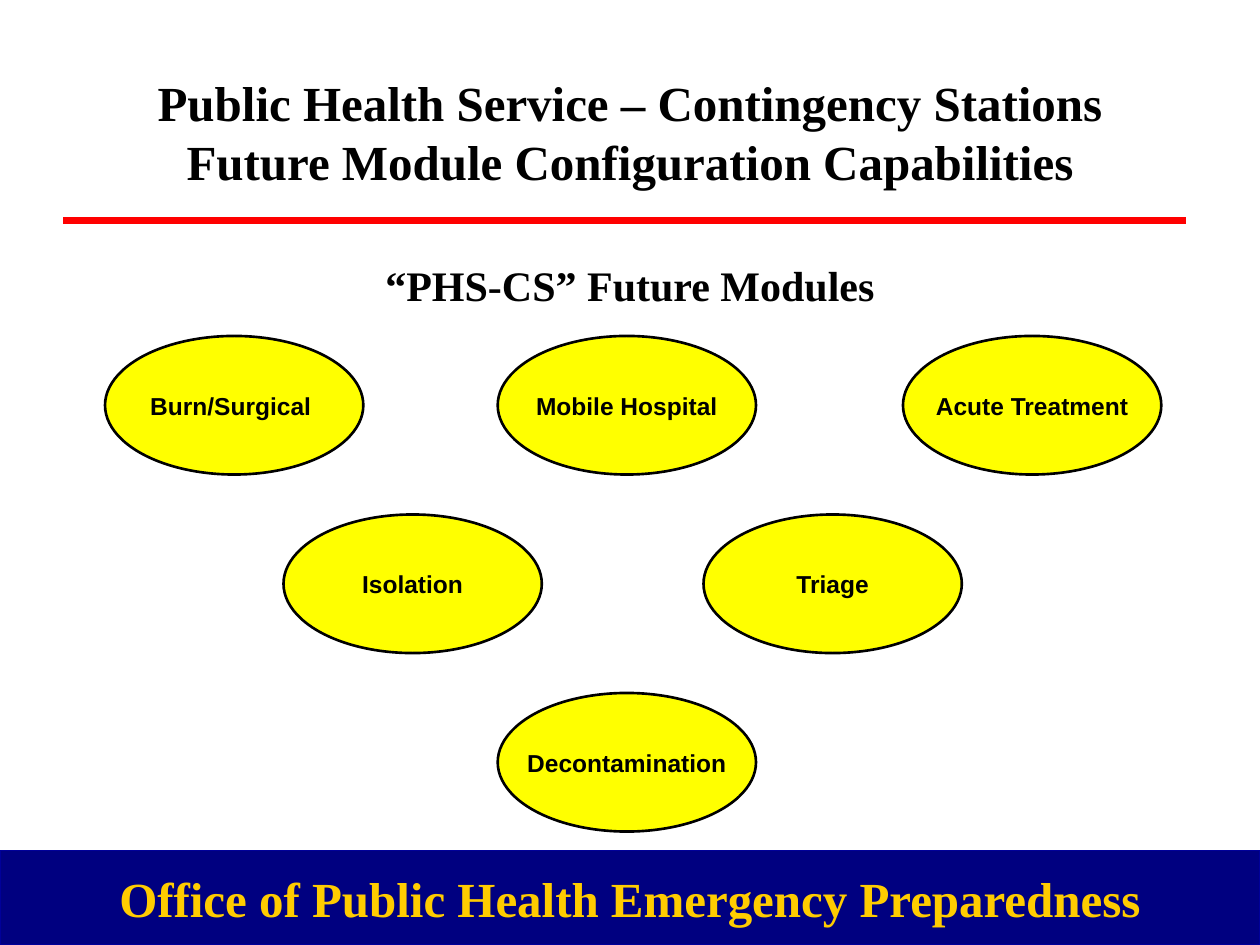
from lxml import etree
from pptx import Presentation
from pptx.dml import color
from pptx.enum import shapes, text
from pptx.oxml import ns
from pptx.util import Pt

SERIF, SANS = "Times New Roman", "Arial"
BLACK, RED, YELLOW, GOLD, NAVY, BLUE = (
    "000000", "FF0000", "FFFF00", "FFCC00", "000080", "000099")

OVAL_WIDTH, OVAL_HEIGHT, ROW_STEP = 147.6, 79.2, 102
# Each row lists (offset from the left of the region, label).
MODULE_ROWS = [
    [(0, "Burn/Surgical "), (224.4, "Mobile Hospital"), (456, "Acute Treatment")],
    [(102, "Isolation"), (342, "Triage")],
    [(224.4, "Decontamination")],
]


def rgb(value):
    return color.RGBColor.from_string(value)


def points(box):
    return [Pt(length) for length in box]


def write(shape, lines, size, name, ink, anchor=text.MSO_ANCHOR.MIDDLE, wrap=True):
    """Fill the shape with one centred bold paragraph, its lines split by breaks."""
    frame = shape.text_frame
    frame.word_wrap = wrap
    frame.vertical_anchor = anchor
    para = frame.paragraphs[0]
    para.alignment = text.PP_ALIGN.CENTER
    for number, line in enumerate(lines):
        if number:
            para.add_line_break()
        span = para.add_run()
        span.text = line
        for key, value in {"size": Pt(size), "name": name, "bold": True}.items():
            setattr(span.font, key, value)
        span.font.color.rgb = rgb(ink)


def add_panel(page, kind, box, fill, outline, weight):
    shape = page.shapes.add_shape(kind, *points(box))
    shape.shadow.inherit = False
    shape.fill.solid()
    shape.fill.fore_color.rgb = rgb(fill)
    shape.line.color.rgb = rgb(outline)
    shape.line.width = Pt(weight)
    return shape


def add_footer(page, box):
    banner = add_panel(page, shapes.MSO_SHAPE.RECTANGLE, box, NAVY, BLUE, 0.75)
    write(banner, ["Office of Public Health Emergency Preparedness"],
          28, SERIF, GOLD, wrap=False)


def add_heading(page, box):
    """Place the title in the box and a red rule just below it."""
    left, top, width, height = box
    title = page.shapes.add_textbox(*points(box))
    write(title, ["Public Health Service – Contingency Stations",
                  "Future Module Configuration Capabilities"], 28, SERIF, BLACK)
    rule_top = top + height + 6
    rule = page.shapes.add_connector(
        shapes.MSO_CONNECTOR.STRAIGHT,
        *points((left - 18, rule_top, left + width + 12, rule_top)))
    rule.line.color.rgb = rgb(RED)
    rule.line.width = Pt(4.5)
    etree.SubElement(rule._element.spPr, ns.qn("a:effectLst"))


def add_subtitle(page, box):
    subtitle = page.shapes.add_textbox(*points(box))
    write(subtitle, ["“PHS-CS” Future Modules"], 24, SERIF, BLACK,
          anchor=text.MSO_ANCHOR.TOP)


def add_modules(page, left, top):
    for row, modules in enumerate(MODULE_ROWS):
        for offset, label in modules:
            box = (left + offset, top + row * ROW_STEP, OVAL_WIDTH, OVAL_HEIGHT)
            oval = add_panel(page, shapes.MSO_SHAPE.OVAL, box, YELLOW, BLACK, 1.5)
            write(oval, [label], 14, SANS, BLACK, wrap=False)


def main():
    deck = Presentation()
    deck.slide_width, deck.slide_height = Pt(720), Pt(540)
    page = deck.slides.add_slide(deck.slide_layouts[6])
    add_footer(page, (0, 486, 720, 54))
    add_heading(page, (54, 30, 612, 90))
    add_subtitle(page, (93, 144.5, 534, 36))
    add_modules(page, 60, 192)
    deck.save("out.pptx")


if __name__ == "__main__":
    main()
